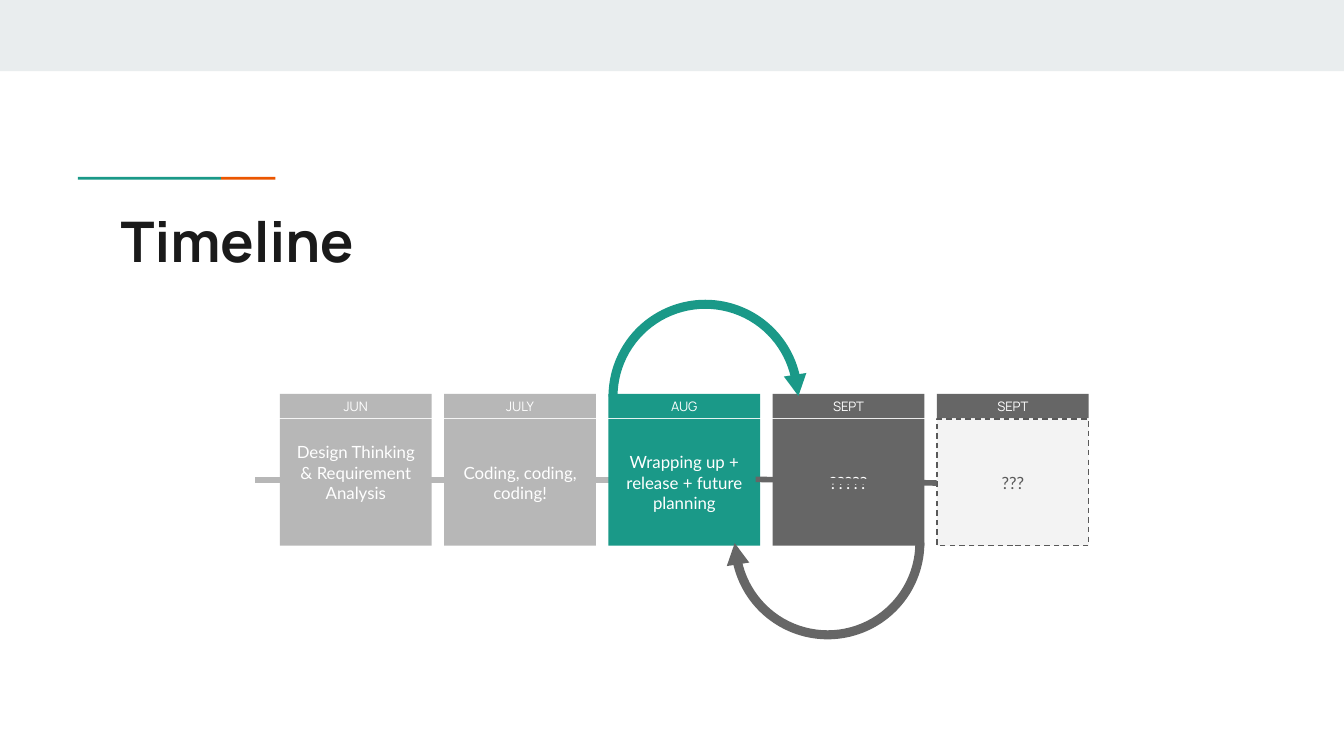
from dataclasses import dataclass

from lxml import etree
from pptx import Presentation
from pptx import util as u
from pptx.dml.color import RGBColor
from pptx.enum import dml, shapes, text
from pptx.oxml.ns import qn

Pt = u.Pt


@dataclass(frozen=True)
class Theme:
    band: str = "E9EDEE"
    teal: str = "1A9988"
    orange: str = "EB5600"
    ink: str = "1A1A1A"
    past: str = "B7B7B7"
    future: str = "666666"
    pale: str = "F3F3F3"
    outline: str = "595959"
    white: str = "FFFFFF"
    heading_font: str = "Manrope"
    body_font: str = "Lato"
    title_size: float = 30
    body_size: float = 9
    month_size: float = 7


class Painter:
    def __init__(self, theme, page):
        self.theme = theme
        self.page = page

    def shape(self, kind, left, top, width, height, fill, rotation=0, adjust=()):
        item = self.page.shapes.add_shape(kind, Pt(left), Pt(top), Pt(width), Pt(height))
        item.shadow.inherit = False
        item.fill.solid()
        item.fill.fore_color.rgb = RGBColor.from_string(fill)
        item.line.fill.background()
        item.rotation = rotation
        for index, value in enumerate(adjust):
            item.adjustments[index] = value
        return item

    def rect(self, left, top, width, height, fill):
        return self.shape(shapes.MSO_SHAPE.RECTANGLE, left, top, width, height, fill)

    def label(self, box, words, size, font, color, bold=False,
              align=text.PP_ALIGN.CENTER, anchor=text.MSO_ANCHOR.MIDDLE, inset=7.2):
        frame = box.text_frame
        frame.word_wrap = True
        frame.vertical_anchor = anchor
        frame.margin_left = frame.margin_right = Pt(7.2)
        frame.margin_top = frame.margin_bottom = Pt(inset)
        para = frame.paragraphs[0]
        para.alignment = align
        span = para.add_run()
        span.text = words
        span.font.size = Pt(size)
        span.font.name = font
        span.font.bold = bold
        span.font.color.rgb = RGBColor.from_string(color)

    def title(self, words, left, top, width, height):
        box = self.page.shapes.add_textbox(Pt(left), Pt(top), Pt(width), Pt(height))
        self.label(box, words, self.theme.title_size, self.theme.heading_font,
                   self.theme.ink, True, text.PP_ALIGN.LEFT, text.MSO_ANCHOR.TOP)

    def line(self, x1, y1, x2, y2, color):
        link = self.page.shapes.add_connector(
            shapes.MSO_CONNECTOR.STRAIGHT, Pt(x1), Pt(y1), Pt(x2), Pt(y2))
        link.line.width = Pt(3)
        link.line.color.rgb = RGBColor.from_string(color)
        etree.SubElement(link._element.spPr, qn("a:effectLst"))

    def card(self, left, month, words, fill, planned=False, lift=0):
        theme = self.theme
        body = self.rect(left, 224.6, 81.4, 67.8, theme.pale if planned else fill)
        if planned:
            body.line.color.rgb = RGBColor.from_string(theme.outline)
            body.line.width = Pt(0.75)
            body.line.dash_style = dml.MSO_LINE.DASH
        self.label(body, words, theme.body_size, theme.body_font,
                   theme.outline if planned else theme.white)
        body.text_frame.margin_bottom = Pt(7.2 + lift)
        head = self.rect(left, 211, 81.4, 13, fill)
        self.label(head, month, theme.month_size, theme.heading_font, theme.white, inset=0)

    def loop_arrow(self, arc_left, arc_top, tip_left, tip_top, fill, turn=0):
        self.shape(shapes.MSO_SHAPE.BLOCK_ARC, arc_left, arc_top, 103.7, 103.7, fill,
                   turn, (108, 211.457, 0.047))
        self.shape(shapes.MSO_SHAPE.ISOSCELES_TRIANGLE, tip_left, tip_top, 12.2, 11.5,
                   fill, (171.1 + turn) % 360)


def main():
    theme = Theme()
    deck = Presentation()
    deck.slide_width, deck.slide_height = Pt(720), Pt(405)
    painter = Painter(theme, deck.slides.add_slide(deck.slide_layouts[6]))

    # Top band, two-colour rule and title
    painter.rect(0, 0, 720, 38.2, theme.band)
    painter.rect(41.8, 94.8, 76.6, 1.5, theme.teal)
    painter.rect(118.4, 94.8, 29.1, 1.5, theme.orange)
    painter.title("Timeline", 57.6, 103.7, 605.5, 42.5)

    # Past link runs behind the cards
    painter.line(136.8, 257, 390.2, 257, theme.past)

    # Month cards
    cards = [
        ("JUN", "Design Thinking & Requirement Analysis", theme.past, False, 10.8),
        ("JULY", "Coding, coding, coding!", theme.past),
        ("AUG", "Wrapping up + release + future planning", theme.teal),
        ("SEPT", "?????", theme.future),
        ("SEPT", "???", theme.future, True),
    ]
    for index, card in enumerate(cards):
        painter.card(149.9 + 88 * index, *card)

    # Loops between August and September
    painter.loop_arrow(326, 160.6, 420.7, 200.7, theme.teal)
    painter.loop_arrow(391.5, 238.8, 388.4, 290.9, theme.future, 180)

    # Future link runs over the cards
    painter.line(404.8, 256.8, 501.8, 258.8, theme.future)

    deck.save("out.pptx")


if __name__ == "__main__":
    main()
